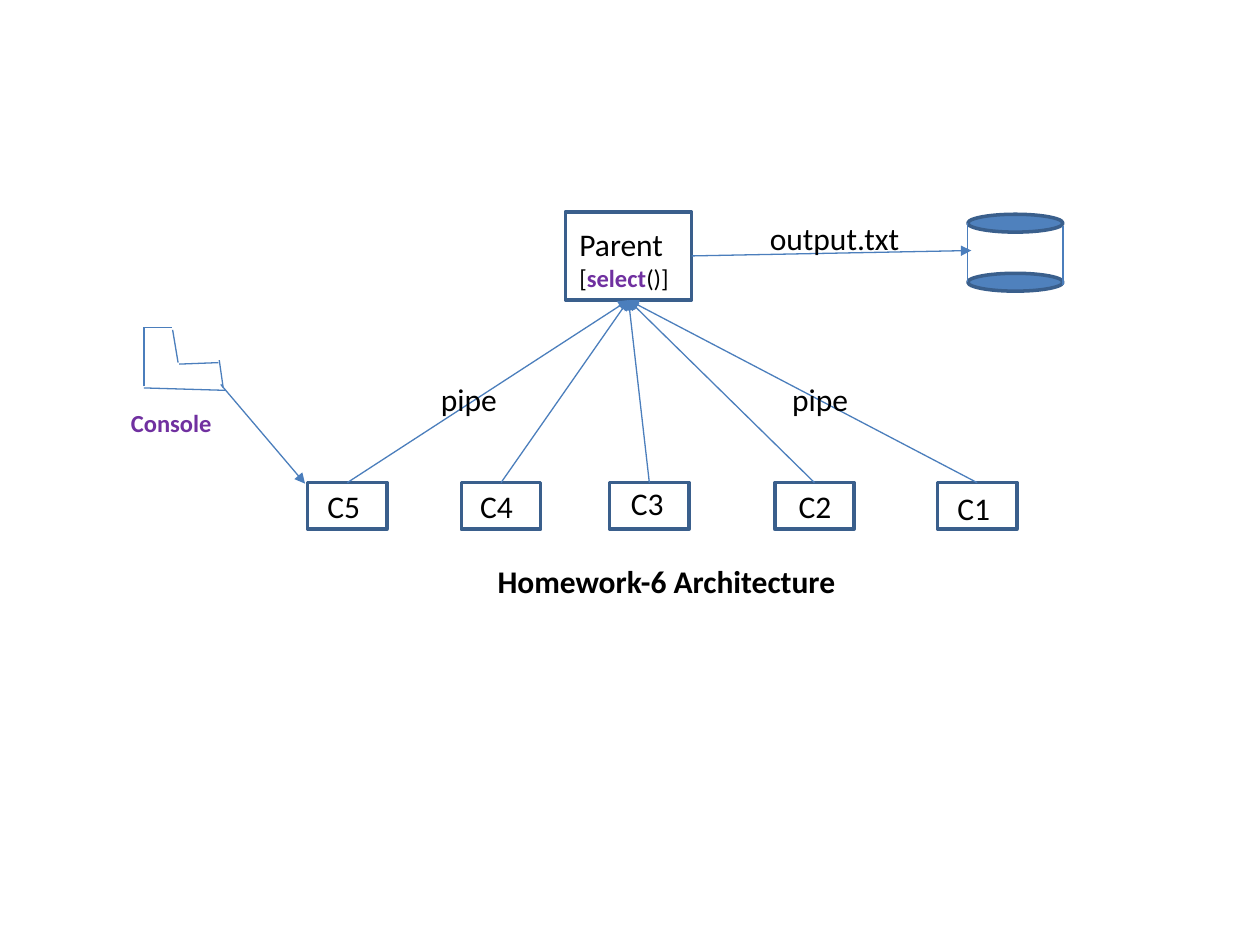
from dataclasses import dataclass

from pptx import Presentation
from pptx.dml.color import RGBColor
from pptx.enum.shapes import MSO_CONNECTOR, MSO_SHAPE
from pptx.enum.text import MSO_AUTO_SIZE
from pptx.oxml.ns import qn
from pptx.util import Cm, Pt
from lxml import etree

RECT, OVAL = MSO_SHAPE.RECTANGLE, MSO_SHAPE.OVAL
STRAIGHT = MSO_CONNECTOR.STRAIGHT
GROW = MSO_AUTO_SIZE.SHAPE_TO_FIT_TEXT
TOP, BOTTOM, RIGHT = 0, 2, 3


@dataclass(frozen=True)
class Theme:
    font: str = "Calibri"
    body: int = 18
    small: int = 14
    text: RGBColor = RGBColor(0x00, 0x00, 0x00)
    accent: RGBColor = RGBColor(0x70, 0x30, 0xA0)
    fill: RGBColor = RGBColor(0x4F, 0x81, 0xBD)
    border: RGBColor = RGBColor(0x3A, 0x5F, 0x8C)
    link: RGBColor = RGBColor(0x4B, 0x7E, 0xBC)
    border_width: float = 2
    link_width: float = 0.75


THEME = Theme()


# Helpers: all lengths are in centimetres
def add_outline(slide, kind, x, y, w, h, fill=None):
    sp = slide.shapes.add_shape(kind, Cm(x), Cm(y), Cm(w), Cm(h))
    sp.shadow.inherit = False
    if fill is None:
        sp.fill.background()
    else:
        sp.fill.solid()
        sp.fill.fore_color.rgb = fill
    sp.line.color.rgb = THEME.border
    sp.line.width = Pt(THEME.border_width)
    return sp


def add_line(slide, x1, y1, x2, y2, arrow=False):
    cxn = slide.shapes.add_connector(STRAIGHT, Cm(x1), Cm(y1), Cm(x2), Cm(y2))
    cxn.line.color.rgb = THEME.link
    cxn.line.width = Pt(THEME.link_width)
    if arrow:
        ln = cxn.line._get_or_add_ln()
        etree.SubElement(ln, qn("a:tailEnd"), type="triangle")
    etree.SubElement(cxn._element.spPr, qn("a:effectLst"))
    return cxn


def add_run(p, text, size=THEME.body, color=THEME.text, bold=False):
    r = p.add_run()
    r.text = text
    r.font.name = THEME.font
    r.font.size = Pt(size)
    r.font.bold = bold
    r.font.color.rgb = color


def add_text_frame(slide, x, y, w, h, wrap=False):
    tf = slide.shapes.add_textbox(Cm(x), Cm(y), Cm(w), Cm(h)).text_frame
    tf.word_wrap = wrap
    tf.auto_size = GROW
    return tf


def add_label(slide, text, x, y, w, h=1.02, wrap=False, **style):
    tf = add_text_frame(slide, x, y, w, h, wrap)
    add_run(tf.paragraphs[0], text, **style)


# Regions
def add_parent(slide, x, y, w, h):
    sp = add_outline(slide, RECT, x, y, w, h)
    tf = add_text_frame(slide, x + 0.03, y + 0.15, 2.36, 1.63)
    add_run(tf.paragraphs[0], "Parent")
    p = tf.add_paragraph()
    add_run(p, "[", THEME.small)
    add_run(p, "select", THEME.small, THEME.accent, True)
    add_run(p, "()]", THEME.small)
    return sp


def add_child(slide, name, x, y, w, h, dx, dy, parent):
    sp = add_outline(slide, RECT, x, y, w, h)
    pipe = add_line(slide, x, y, x, y, arrow=True)
    pipe.begin_connect(sp, TOP)
    pipe.end_connect(parent, BOTTOM)
    add_label(slide, name, x + dx, y + dy, 1.3, wrap=True)


def add_console(slide, x, y, target):
    strokes = [
        (0.03, 0, 0.56, 0),
        (0.58, 0.05, 0.69, 0.71),
        (0.71, 0.74, 1.5, 0.71),
        (1.52, 0.66, 1.6, 1.22),
        (1.65, 1.27, 0, 1.22),
        (0, 1.19, 0, 0),
    ]
    for x1, y1, x2, y2 in strokes:
        add_line(slide, x + x1, y + y1, x + x2, y + y2)
    add_line(slide, x + 1.55, y + 1.15, *target, arrow=True)
    add_label(slide, "Console", x - 0.51, y + 1.5, 2.16, 0.86,
              size=THEME.small, color=THEME.accent, bold=True)


def add_disk(slide, x, y, w, h, cap, parent):
    drop = h - cap
    for top in (y, y + drop):
        add_outline(slide, OVAL, x, top, w, cap, THEME.fill)
    for side, top in ((x, y + cap / 2), (x + w, y + cap / 2 + 0.05)):
        add_line(slide, side, top, side, top + drop)
    arrow = add_line(slide, x, y, x + 0.07, y + 0.73, arrow=True)
    arrow.begin_connect(parent, RIGHT)
    add_label(slide, "output.txt", x - 4.24, y - 0.03, 3.15)


def main():
    prs = Presentation()
    prs.slide_width, prs.slide_height = Cm(25.4), Cm(19.05)
    slide = prs.slides.add_slide(prs.slide_layouts[6])

    parent = add_parent(slide, 11.4, 4.27, 2.54, 1.78)

    # Child processes: name, left edge, label offset
    child_top = 9.73
    children = [
        ("C5", 6.2, 0.15, -0.03),
        ("C4", 9.3, 0.13, -0.03),
        ("C3", 12.29, 0.18, -0.1),
        ("C2", 15.62, 0.23, -0.03),
        ("C1", 18.9, 0.15, 0),
    ]
    for name, x, dx, dy in children:
        add_child(slide, name, x, child_top, 1.6, 0.94, dx, dy, parent)

    add_console(slide, 2.9, 6.6, (6.15, 9.75))
    add_disk(slide, 19.51, 4.32, 1.92, 1.55, 0.36, parent)

    # Pipe labels and caption
    for x in (8.64, 15.72):
        add_label(slide, "pipe", x, 7.54, 1.65)
    add_label(slide, "Homework-6 Architecture", 9.78, 11.2, 7.39, bold=True)

    prs.save("out.pptx")


if __name__ == "__main__":
    main()
